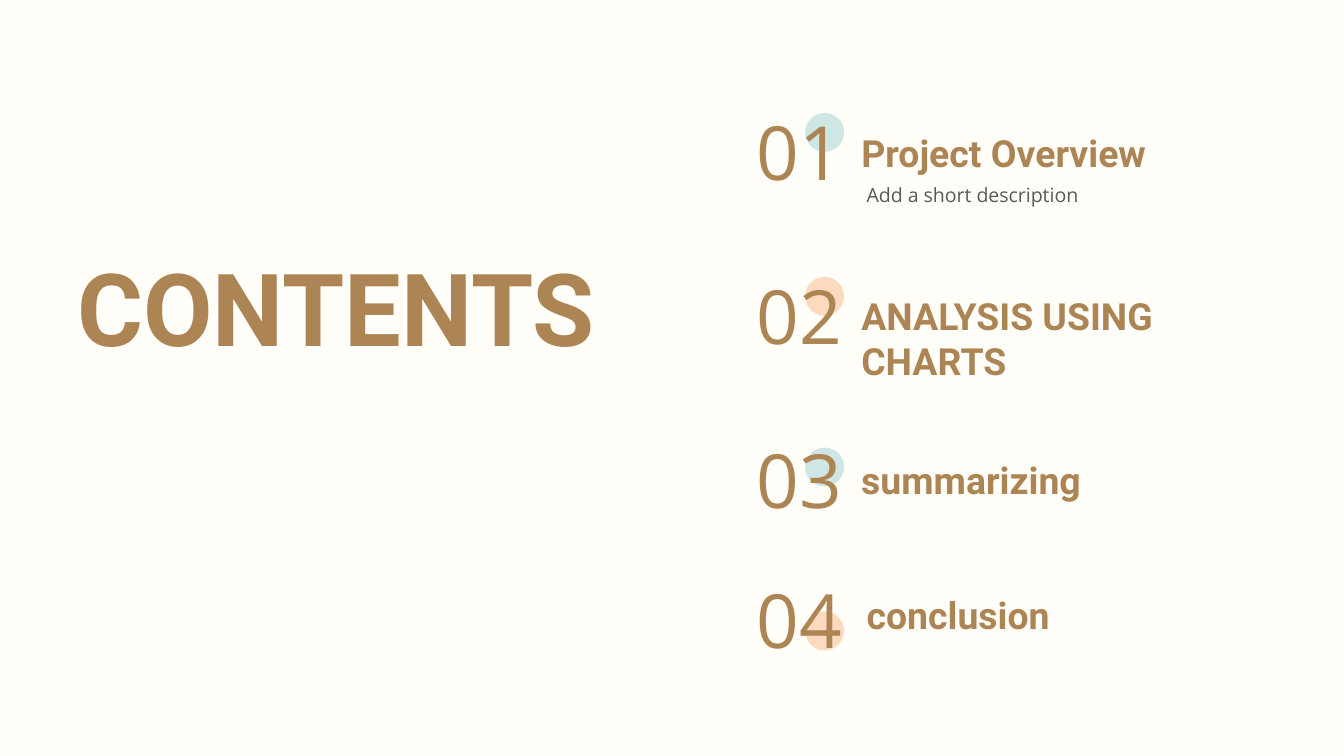
from pptx import Presentation
from pptx.dml.color import RGBColor
from pptx.enum.shapes import MSO_SHAPE
from pptx.enum.text import MSO_AUTO_SIZE, PP_ALIGN
from pptx.util import Inches, Pt


def color(value):
    return RGBColor.from_string(value)


class ContentsSlide:
    BROWN = "AD8555"
    GRAY = "595959"
    MINT = "CEE7E4"
    PEACH = "FDDABF"
    HEADING_FONT = "Roboto"
    BODY_FONT = "Open Sans"

    def __init__(self, deck):
        self.slide = deck.slides.add_slide(deck.slide_layouts[6])
        background = self.slide.background.fill
        background.solid()
        background.fore_color.rgb = color("FFFEF9")

    def dot(self, top, fill):
        dot = self.slide.shapes.add_shape(
            MSO_SHAPE.OVAL, Inches(5.99), Inches(top), Inches(0.29), Inches(0.29)
        )
        dot.shadow.inherit = False
        dot.fill.solid()
        dot.fill.fore_color.rgb = color(fill)
        dot.line.fill.background()

    def text(self, words, left, top, width, height, size, font=HEADING_FONT,
             ink=BROWN, align=PP_ALIGN.LEFT, grow=True):
        box = self.slide.shapes.add_textbox(
            Inches(left), Inches(top), Inches(width), Inches(height)
        )
        frame = box.text_frame
        frame.word_wrap = True
        frame.auto_size = (
            MSO_AUTO_SIZE.SHAPE_TO_FIT_TEXT if grow else MSO_AUTO_SIZE.NONE
        )
        paragraph = frame.paragraphs[0]
        paragraph.alignment = align
        run = paragraph.add_run()
        run.text = words
        run.font.name = font
        run.font.size = Pt(size)
        run.font.bold = font == self.HEADING_FONT
        run.font.color.rgb = color(ink)

    def number(self, words, top):
        self.text(words, 5.44, top, 1.01, 0.77, 40, self.BODY_FONT,
                  align=PP_ALIGN.CENTER)


def main():
    deck = Presentation()
    deck.slide_width = Inches(10)
    deck.slide_height = deck.slide_width * 9 // 16
    contents = ContentsSlide(deck)

    contents.text("CONTENTS", 0.31, 1.78, 4.38, 1.01, 54, align=PP_ALIGN.CENTER)

    chapters = [
        ("Project Overview", 0.74, 0.84, 6.31, 0.92, 3.51, 0.44),
        ("ANALYSIS USING CHARTS", 1.96, 2.06, 6.31, 2.13, 3.51, 0.58),
        ("summarizing", 3.18, 3.33, 6.31, 3.35, 2.74, 0.44),
        ("conclusion", 4.22, 4.55, 6.35, 4.36, 2.74, 0.44),
    ]
    for index, chapter in enumerate(chapters):
        title, number_top, dot_top, left, top, width, height = chapter
        contents.dot(dot_top, contents.PEACH if index % 2 else contents.MINT)
        contents.number(f"{index + 1:02}", number_top)
        contents.text(title, left, top, width, height, 20, grow=height == 0.44)

    contents.text("Add a short description", 6.35, 1.31, 2.7, 0.28, 10.5,
                  contents.BODY_FONT, contents.GRAY)

    deck.save("out.pptx")


if __name__ == "__main__":
    main()
